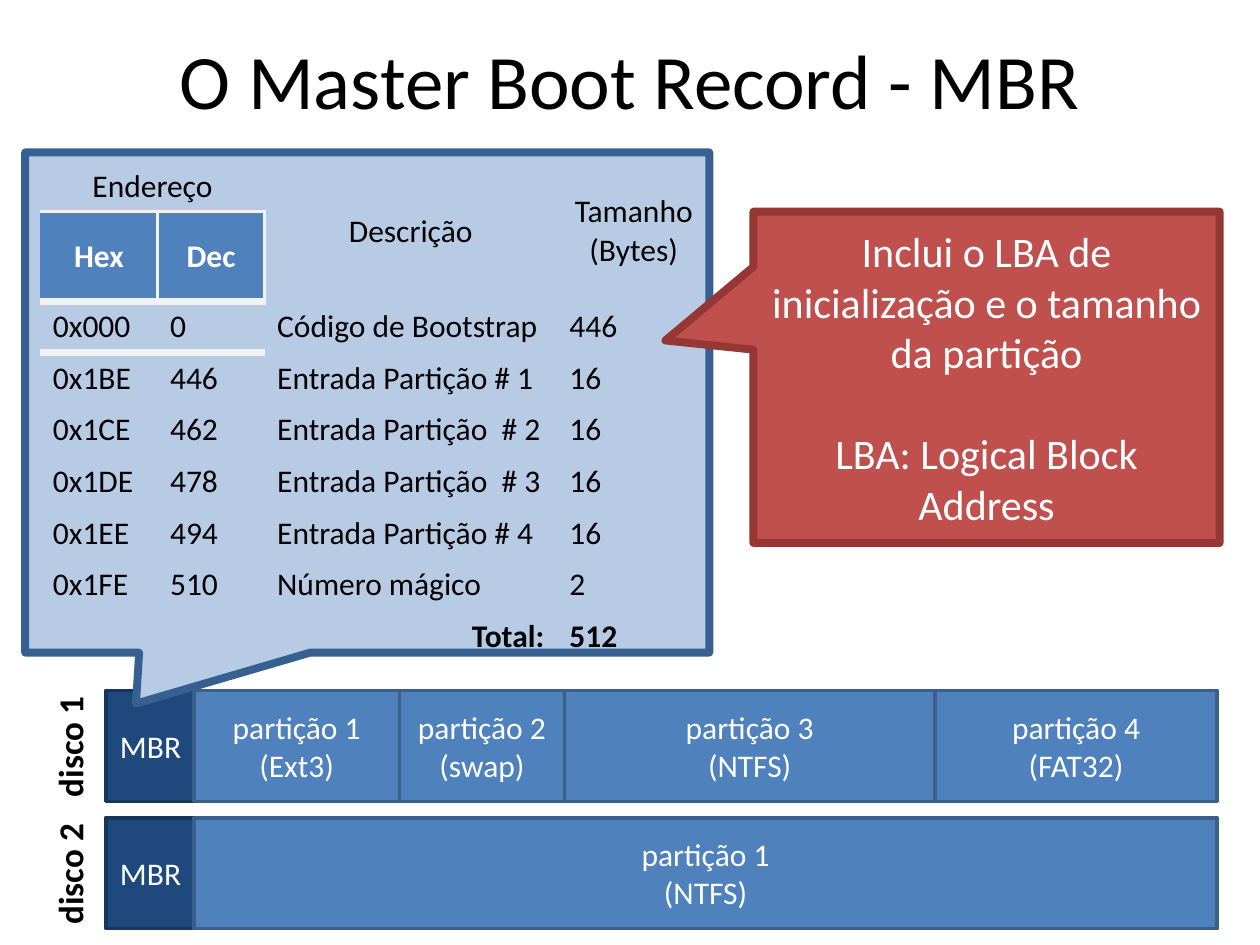
from pptx import Presentation
from pptx.dml.color import RGBColor
from pptx.enum.shapes import MSO_SHAPE as SHAPE
from pptx.enum.text import MSO_ANCHOR as ANCHOR, PP_ALIGN as ALIGN
from pptx.oxml.ns import qn
from pptx.util import Inches, Pt
from lxml.etree import SubElement

FONT = "Calibri"
BLACK, WHITE, BLUE, PALE = "000000", "FFFFFF", "4F81BD", "F2F2F2"
NO_STYLE = "{2D5ABB26-0587-4C30-8999-92F81FD0307C}"


def rgb(hex_text):
    return RGBColor.from_string(hex_text)


def write(tf, text, size=18, color=BLACK, bold=False, align=ALIGN.CENTER, gap=0):
    """Fill a text frame, one paragraph per line; gap is the space between them."""
    for i, line in enumerate(text.split("\n")):
        p = tf.paragraphs[0] if i == 0 else tf.add_paragraph()
        p.alignment = align
        if i and gap:
            p.space_before = Pt(gap)
        r = p.add_run()
        r.text = line
        r.font.name, r.font.size, r.font.bold = FONT, Pt(size), bold
        r.font.color.rgb = rgb(color)


class Deck:
    def __init__(self, width, height):
        self.prs = Presentation()
        self.prs.slide_width, self.prs.slide_height = Inches(width), Inches(height)
        self.s = self.prs.slides.add_slide(self.prs.slide_layouts[6])

    def text(self, box, text, rotation=0, wrap=True, anchor=ANCHOR.TOP, **fmt):
        sp = self.s.shapes.add_textbox(*map(Inches, box))
        sp.rotation = rotation
        tf = sp.text_frame
        tf.word_wrap, tf.vertical_anchor = wrap, anchor
        write(tf, text, **fmt)

    def shape(self, box, fill, line, text="", kind=SHAPE.RECTANGLE,
              width=2, tip=(), **fmt):
        sp = self.s.shapes.add_shape(kind, *map(Inches, box))
        sp.shadow.inherit = False
        for i, value in enumerate(tip):
            sp.adjustments[i] = value
        sp.fill.solid()
        sp.fill.fore_color.rgb = rgb(fill)
        sp.line.color.rgb, sp.line.width = rgb(line), Pt(width)
        if text:
            tf = sp.text_frame
            tf.word_wrap, tf.vertical_anchor = True, ANCHOR.MIDDLE
            write(tf, text, color=WHITE, **fmt)

    def callout(self, box, fill, line, tip, text="", **fmt):
        self.shape(box, fill, line, text, SHAPE.RECTANGULAR_CALLOUT, 4.5, tip, **fmt)

    def disk(self, top, name, partitions):
        """partitions: (label, left edge) pairs, each ending where the next starts."""
        left, right, height = 0.84, 9.66, 0.88
        self.shape((left, top, right - left, height), "D8D8D8", "A5A5A5")
        self.shape((left, top, 0.71, height), "1F497D", "17365D", "MBR")
        edges = [x for _, x in partitions] + [right]
        for (label, x), end in zip(partitions, edges[1:]):
            self.shape((x, top, end - x, height), BLUE, "3A5F8B", label)
        self.text((0.05, top + 0.23, 1, 0.43), name, rotation=270, wrap=False,
                  size=20, bold=True, align=ALIGN.LEFT)

    def table(self, left, top, cols, rows):
        frame = self.s.shapes.add_table(len(rows), len(cols), Inches(left), Inches(top),
                                        Inches(sum(cols)), Inches(sum(rows)))
        t = frame.table
        t.first_row = t.horz_banding = False
        next(frame._element.iter(qn("a:tableStyleId"))).text = NO_STYLE
        for col, width in zip(t.columns, cols):
            col.width = Inches(width)
        for row, height in zip(t.rows, rows):
            row.height = Inches(height)
        return t

    def cell(self, c, text="", fill=None, borders=None, anchor=ANCHOR.TOP, **fmt):
        """borders maps sides, in the order L R T B, to widths in points."""
        c.vertical_anchor = anchor
        tc_pr = c._tc.get_or_add_tcPr()
        for side, width in (borders or {}).items():
            ln = SubElement(tc_pr, qn("a:ln" + side), w=str(Pt(width)))
            SubElement(SubElement(ln, qn("a:solidFill")), qn("a:srgbClr"), val=PALE)
        if fill:
            c.fill.solid()
            c.fill.fore_color.rgb = rgb(fill)
        else:
            c.fill.background()
        if text:
            write(c.text_frame, text, **fmt)


def main():
    deck = Deck(10, 7.5)

    # Disks
    deck.disk(5.48, "disco 1", [
        ("partição 1\n(Ext3)", 1.54), ("partição 2\n(swap)", 3.17),
        ("partição 3\n(NTFS)", 4.48), ("partição 4\n(FAT32)", 7.42)])
    deck.disk(6.49, "disco 2", [("partição 1\n(NTFS)", 1.54)])

    # Panel pointing at the MBR, and the title
    deck.callout((0.2, 1.21, 5.43, 3.97), "B7CCE4", "366092", (-0.338, 0.602))
    deck.text((0.5, 0, 9, 1.25), "O Master Boot Record - MBR", size=44,
              anchor=ANCHOR.MIDDLE)

    # Table header
    entries = [
        ("0x000", "0", "Código de Bootstrap", "446"),
        ("0x1BE", "446", "Entrada Partição # 1", "16"),
        ("0x1CE", "462", "Entrada Partição  # 2", "16"),
        ("0x1DE", "478", "Entrada Partição  # 3", "16"),
        ("0x1EE", "494", "Entrada Partição # 4", "16"),
        ("0x1FE", "510", "Número mágico", "2"),
        ("", "", "Total:", "512"),
    ]
    thin, thick = 2.21, 4.48
    t = deck.table(0.32, 1.28, (0.93, 0.85, 2.32, 1.22),
                   [0.38, 0.71] + [0.41] * len(entries))
    t.cell(0, 0).merge(t.cell(0, 1))
    for j in (2, 3):
        t.cell(0, j).merge(t.cell(1, j))
    heads = [("Endereço", {"B": thin}), ("", {"B": thin}),
             ("Descrição", None), ("Tamanho (Bytes)", None)]
    for j, (text, borders) in enumerate(heads):
        deck.cell(t.cell(0, j), text, borders=borders, anchor=ANCHOR.MIDDLE)
    edges = {"R": thin, "T": thin, "B": thick}
    for j, (text, borders) in enumerate([("Hex", edges), ("Dec", {"L": thin, **edges})]):
        deck.cell(t.cell(1, j), text, BLUE, borders, ANCHOR.MIDDLE,
                  color=WHITE, bold=True)

    # Table entries and total
    for i, entry in enumerate(entries, start=2):
        total = entry is entries[-1]
        for j, text in enumerate(entry):
            deck.cell(t.cell(i, j), text, bold=total,
                      borders={"T": thick} if i == 2 and j < 2 else None,
                      align=ALIGN.RIGHT if total and j == 2 else ALIGN.LEFT)

    # Note on the partition entries
    deck.callout((5.98, 1.68, 3.7, 2.63), "C0504D", "953734", (-0.689, -0.111),
                 "Inclui o LBA de inicialização e o tamanho da partição\n"
                 "LBA: Logical Block Address", size=24, gap=29)

    deck.prs.save("out.pptx")


if __name__ == "__main__":
    main()
